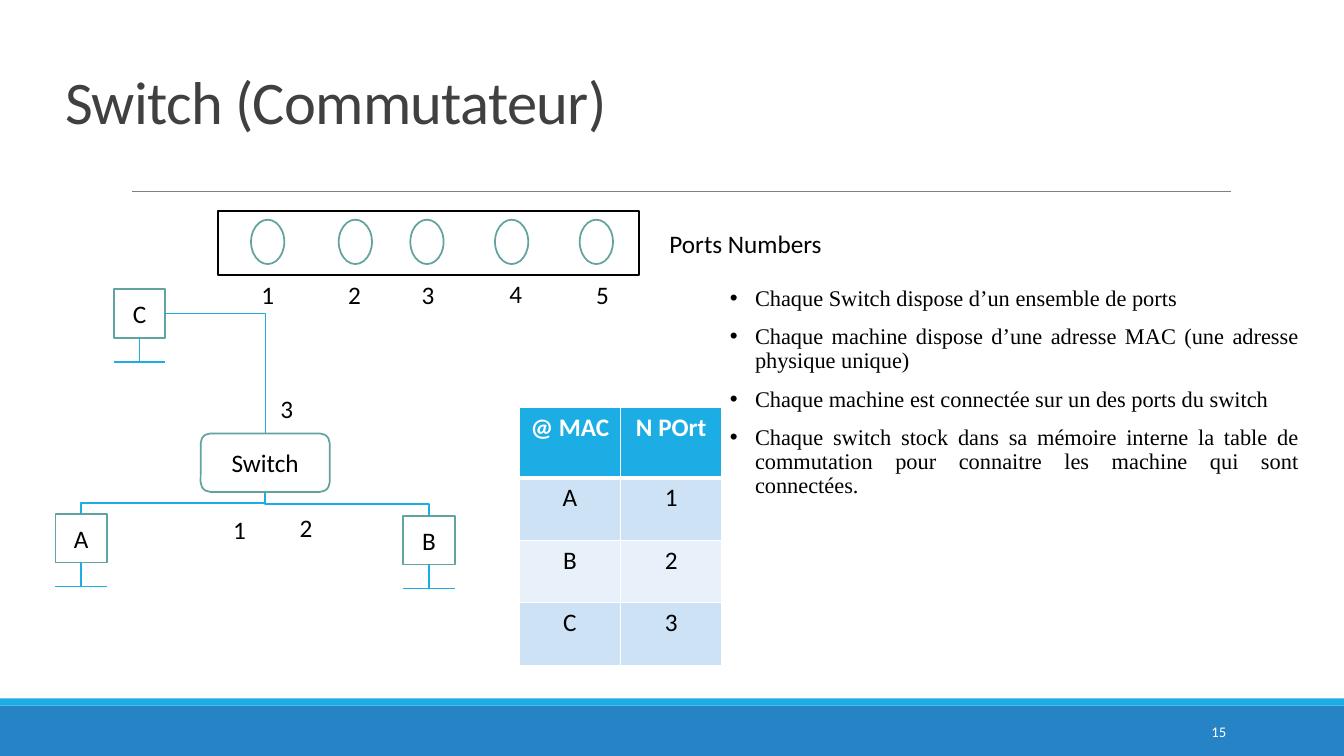
import pptx
import pptx.util
import pptx.dml.color
import pptx.enum.shapes
import pptx.enum.text
import pptx.oxml
import pptx.oxml.ns
from pptx.util import Inches

RGBColor = pptx.dml.color.RGBColor
Shape = pptx.enum.shapes.MSO_SHAPE
Link = pptx.enum.shapes.MSO_CONNECTOR
Align = pptx.enum.text.PP_ALIGN
Anchor = pptx.enum.text.MSO_ANCHOR
qn = pptx.oxml.ns.qn

WHITE = RGBColor(0xFF, 0xFF, 0xFF)
BLACK = RGBColor(0, 0, 0)
DARK = RGBColor(0x40, 0x40, 0x40)
GREY = RGBColor(0x80, 0x80, 0x80)
BLUE = RGBColor(0x26, 0x83, 0xC6)
CYAN = RGBColor(0x1C, 0xAD, 0xE4)
TEAL = RGBColor(0x62, 0xA3, 0x9F)
BAND_DARK = RGBColor(0xCD, 0xE3, 0xF5)
BAND_LIGHT = RGBColor(0xE8, 0xF1, 0xFA)

PORTS = [  # circle left, label left, label top, within the port panel
    (0.33, 0.24, 0.59), (1.20, 1.10, 0.59), (1.91, 1.83, 0.59),
    (2.75, 2.70, 0.58), (3.59, 3.56, 0.59),
]
POINTS = [
    "Chaque Switch dispose d’un ensemble de ports",
    "Chaque machine dispose d’une adresse MAC (une adresse physique unique)",
    "Chaque machine est connectée sur un des ports du switch",
    "Chaque switch stock dans sa mémoire interne la table de commutation "
    "pour connaitre les machine qui sont connectées.",
]
MAC_TABLE = [("@ MAC", "N POrt"), ("A", "1"), ("B", "2"), ("C", "3")]


def write(para, text, size=18, color=BLACK, font="Calibri", bold=False,
          align=Align.CENTER):
    para.alignment = align
    span = para.add_run()
    span.text = text
    span.font.size = pptx.util.Pt(size)
    span.font.name = font
    span.font.bold = bold
    span.font.color.rgb = color
    return span


def add_block(page, kind, box, fill=WHITE, line=WHITE, text=None):
    block = page.shapes.add_shape(kind, *map(Inches, box))
    block.shadow.inherit = False
    block.fill.solid()
    block.fill.fore_color.rgb = fill
    if line is None:
        block.line.fill.background()
    else:
        block.line.color.rgb = line
        block.line.width = pptx.util.Pt(1.25)
    if text:
        block.text_frame.vertical_anchor = Anchor.MIDDLE
        write(block.text_frame.paragraphs[0], text)
    return block


def add_text_box(page, box, anchor=Anchor.TOP):
    frame = page.shapes.add_textbox(*map(Inches, box)).text_frame
    frame.word_wrap = True
    frame.vertical_anchor = anchor
    return frame


def add_line(page, start, end, color=CYAN, width=1, kind=Link.STRAIGHT):
    line = page.shapes.add_connector(kind, *map(Inches, start + end))
    line.line.color.rgb = color
    line.line.width = pptx.util.Pt(width)
    pptx.oxml.ns  # namespace helpers come from here
    line._element.spPr.append(pptx.oxml.parse_xml(
        '<a:effectLst xmlns:a="http://schemas.openxmlformats.org/drawingml/2006/main"/>'))
    return line


def add_vertical_elbow(page, machine, switch, rotation, flips):
    """Join the top of a machine to the bottom of the switch."""
    elbow = add_line(page, (0, 0), (1, 1), kind=Link.ELBOW)
    elbow.begin_connect(machine, 0)
    elbow.end_connect(switch, 2)
    across, rise = elbow.width, elbow.height
    middle_x, middle_y = elbow.left + across // 2, elbow.top + rise // 2
    elbow.left, elbow.top = middle_x - rise // 2, middle_y - across // 2
    elbow.width, elbow.height = rise, across
    frame = elbow._element.spPr.find(qn("a:xfrm"))
    for flip in ("flipH", "flipV"):
        frame.set(flip, "1" if flip in flips else "0")
    frame.set("rot", str(rotation * 60000))


def add_machine(page, left, top, name):
    width, height, neck = 0.51, 0.48, 0.24
    machine = add_block(page, Shape.RECTANGLE, (left, top, width, height),
                        line=TEAL, text=name)
    middle, foot = left + width / 2, top + height + neck
    stand = add_line(page, (middle, top + height), (middle, foot))
    stand.begin_connect(machine, 2)
    add_line(page, (left, foot), (left + width, foot))
    return machine


def add_frame(page, box):
    left, top, width, height = box
    # Footer bands and title rule
    add_block(page, Shape.RECTANGLE, (left, top + height - 0.5, width, 0.5), BLUE, None)
    add_block(page, Shape.RECTANGLE, (left, top + height - 0.57, width, 0.07), CYAN, None)
    add_line(page, (left + 1.31, top + 1.9), (left + 12.21, top + 1.9), GREY, 0.5)
    # Title
    title = add_text_box(page, (left + 0.55, top + 0.72, 11.5, 0.69), Anchor.BOTTOM)
    para = title.paragraphs[0]
    para.line_spacing = 0.85
    span = write(para, "Switch (Commutateur)", size=43.2, color=DARK, align=Align.LEFT)
    span.font._element.set("spc", "-50")
    # Page number
    number = add_text_box(page, (left + 10.83, top + 7.06, 1.43, 0.4), Anchor.MIDDLE)
    write(number.paragraphs[0], "15", size=10.5, color=WHITE, align=Align.RIGHT)


def add_port_panel(page, box):
    left, top, width, height = box
    for number, (_, label_left, label_top) in enumerate(PORTS, 1):
        add_block(page, Shape.RECTANGLE,
                  (left + label_left, top + label_top, 0.51, 0.48), text=str(number))
    add_block(page, Shape.RECTANGLE, box, line=BLACK)
    for circle_left, _, _ in PORTS:
        add_block(page, Shape.OVAL, (left + circle_left, top + 0.09, 0.33, 0.44), line=TEAL)
    add_block(page, Shape.RECTANGLE, (left + width + 0.07, top + 0.15, 1.97, 0.36),
              text="Ports Numbers")


def add_network(page, box):
    left, top, width, height = box
    switch = add_block(page, Shape.ROUNDED_RECTANGLE,
                       (left + 1.44, top + 1.43, 1.28, 0.58), line=TEAL, text="Switch")
    machine_c = add_machine(page, left + 0.58, top, "C")
    machine_a = add_machine(page, left, top + 2.23, "A")
    machine_b = add_machine(page, left + width - 0.51, top + 2.25, "B")
    # Cables
    add_vertical_elbow(page, machine_b, switch, 270, ("flipV",))
    add_vertical_elbow(page, machine_a, switch, 90, ("flipH", "flipV"))
    cable_c = add_line(page, (0, 0), (1, 1), kind=Link.ELBOW)
    cable_c.begin_connect(machine_c, 3)
    cable_c.end_connect(switch, 0)
    geometry = cable_c._element.spPr.find(qn("a:prstGeom"))
    geometry.set("prst", "bentConnector2")
    # Port numbers beside the cables
    for text, x, y in (("1", 1.63, 2.2), ("2", 2.29, 2.18), ("3", 2.1, 1)):
        add_block(page, Shape.RECTANGLE, (left + x, top + y, 0.39, 0.37), text=text)


def add_points(page, box):
    frame = add_text_box(page, box)
    for index, text in enumerate(POINTS):
        para = frame.add_paragraph() if index else frame.paragraphs[0]
        para.line_spacing = 0.9
        para.space_before = pptx.util.Pt(10)
        write(para, text, size=16, font="Times New Roman", align=Align.JUSTIFY)
        layout = para._element.get_or_add_pPr()
        layout.set("marL", str(Inches(0.25)))
        layout.set("indent", str(Inches(-0.25)))
        layout.append(pptx.oxml.parse_xml(
            '<a:buFont xmlns:a="http://schemas.openxmlformats.org/drawingml/2006/main" '
            'typeface="Arial"/>'))
        layout.append(pptx.oxml.parse_xml(
            '<a:buChar xmlns:a="http://schemas.openxmlformats.org/drawingml/2006/main" '
            'char="•"/>'))


def set_borders(cell, bottom):
    properties = cell._tc.get_or_add_tcPr()
    for index, side in enumerate("LRTB"):
        points = bottom if side == "B" else 1
        properties.insert(index, pptx.oxml.parse_xml(
            f'<a:ln{side} xmlns:a="http://schemas.openxmlformats.org/drawingml/2006/main" '
            f'w="{pptx.util.Pt(points)}"><a:solidFill><a:srgbClr val="{WHITE}"/>'
            f'</a:solidFill></a:ln{side}>'))


def add_mac_table(page, box):
    table = page.shapes.add_table(len(MAC_TABLE), 2, *map(Inches, box)).table
    table.first_row = table.horz_banding = False
    for row, texts in enumerate(MAC_TABLE):
        header = row == 0
        table.rows[row].height = Inches(0.7 if header else 0.62)
        for column, text in enumerate(texts):
            cell = table.cell(row, column)
            cell.fill.solid()
            cell.fill.fore_color.rgb = CYAN if header else (BAND_LIGHT, BAND_DARK)[row % 2]
            set_borders(cell, 3 if header else 1)
            write(cell.text_frame.paragraphs[0], text, bold=header,
                  color=WHITE if header else BLACK)


def main():
    deck = pptx.Presentation()
    deck.slide_width, deck.slide_height = Inches(13.33), Inches(7.5)
    page = deck.slides.add_slide(deck.slide_layouts[6])
    add_frame(page, (0, 0, 13.33, 7.5))
    add_port_panel(page, (2.16, 2.09, 4.18, 0.64))
    add_points(page, (7.14, 2.8, 5.84, 1.11))
    add_network(page, (0.55, 2.87, 3.96, 2.96))
    add_mac_table(page, (5.15, 4.04, 2.01, 2.56))
    deck.save("out.pptx")


if __name__ == "__main__":
    main()
